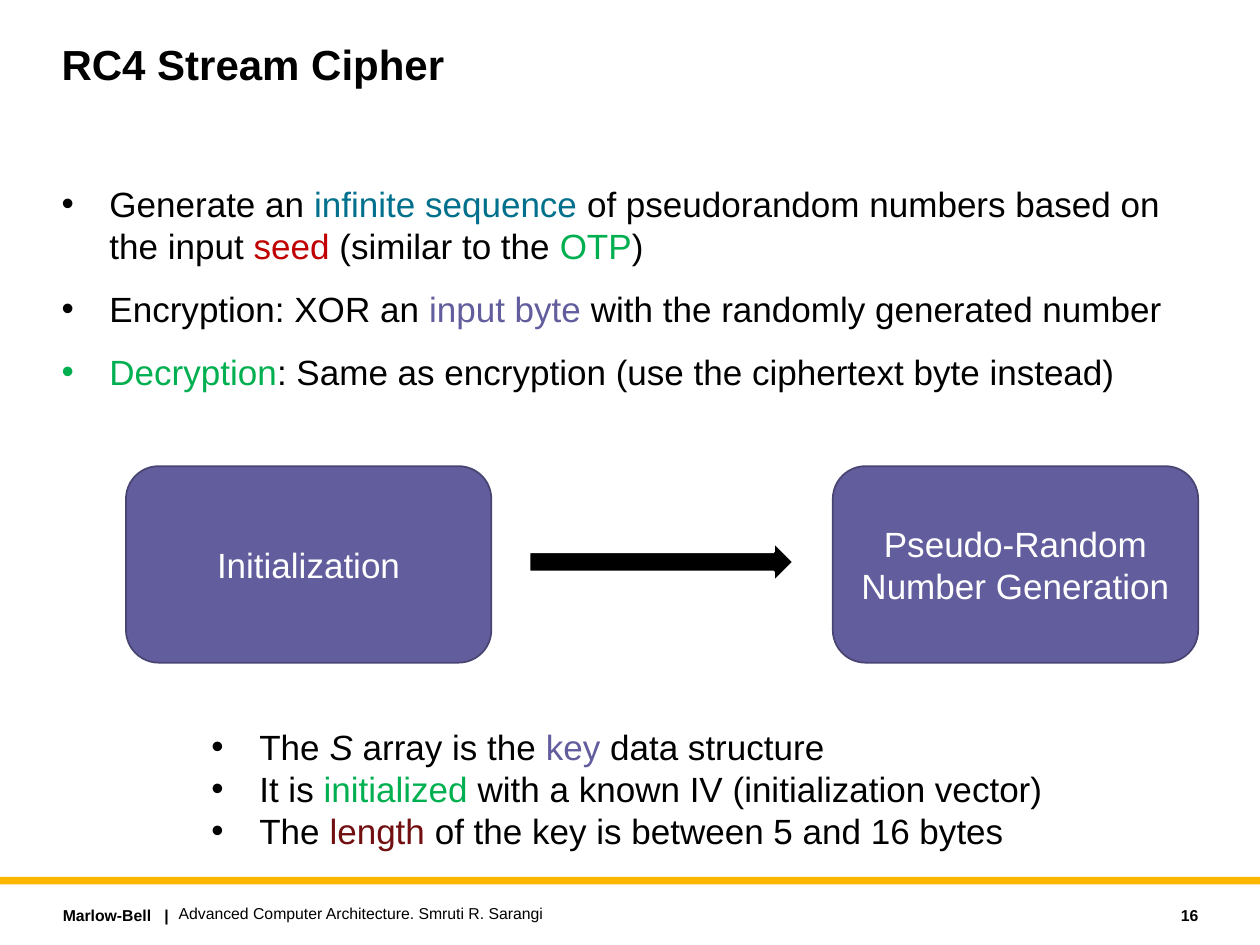
from lxml import etree
from pptx import Presentation
from pptx.dml.color import RGBColor
from pptx.enum.shapes import MSO_SHAPE
from pptx.enum.text import MSO_ANCHOR, PP_ALIGN
from pptx.oxml.ns import qn
from pptx.util import Inches, Pt

RECTANGLE = MSO_SHAPE.RECTANGLE
ROUNDED = MSO_SHAPE.ROUNDED_RECTANGLE
RIGHT_ARROW = MSO_SHAPE.RIGHT_ARROW
TOP, MIDDLE = MSO_ANCHOR.TOP, MSO_ANCHOR.MIDDLE
LEFT, CENTER, RIGHT = PP_ALIGN.LEFT, PP_ALIGN.CENTER, PP_ALIGN.RIGHT

BLACK = RGBColor(0x00, 0x00, 0x00)
WHITE = RGBColor(0xFF, 0xFF, 0xFF)
AMBER = RGBColor(0xFF, 0xB6, 0x00)
TEAL = RGBColor(0x01, 0x70, 0x8C)
RED = RGBColor(0xC0, 0x00, 0x00)
MAROON = RGBColor(0x72, 0x0F, 0x11)
GREEN = RGBColor(0x00, 0xB0, 0x50)
PURPLE = RGBColor(0x62, 0x5D, 0x9C)
DARK_PURPLE = RGBColor(0x49, 0x45, 0x73)


class SlideBuilder:
    font_name = "Arial"
    body_size = 20
    footer_size = 9
    bullet_indent = 0.38

    def __init__(self, slide):
        self.slide = slide

    def style(self, font, size, color, bold=False, italic=False):
        font.name = self.font_name
        font.size = Pt(size)
        font.color.rgb = color
        font.bold = bold
        font.italic = italic

    def frame(self, place, anchor):
        box = self.slide.shapes.add_textbox(*map(Inches, place))
        box.text_frame.word_wrap = True
        box.text_frame.vertical_anchor = anchor
        return box.text_frame

    def text(self, place, wording, size, bold=False, align=LEFT, anchor=MIDDLE):
        frame = self.frame(place, anchor)
        frame.text = wording
        paragraph = frame.paragraphs[0]
        paragraph.alignment = align
        self.style(paragraph.runs[0].font, size, BLACK, bold)
        return paragraph

    def bullets(self, place, items, gap=0):
        frame = self.frame(place, TOP)
        for index, pieces in enumerate(items):
            paragraph = frame.add_paragraph() if index else frame.paragraphs[0]
            paragraph.space_before = Pt(gap if index else 0)
            properties = paragraph._p.get_or_add_pPr()
            indent = Inches(self.bullet_indent)
            properties.set("marL", str(indent))
            properties.set("indent", str(-indent))
            etree.SubElement(properties, qn("a:buFont")).set("typeface", self.font_name)
            etree.SubElement(properties, qn("a:buChar")).set("char", "•")
            for wording, color, italic in pieces:
                run = paragraph.add_run()
                run.text = wording
                self.style(run.font, self.body_size, color, italic=italic)

    def shape(self, preset, place, fill, line=None, line_width=1):
        shape = self.slide.shapes.add_shape(preset, *map(Inches, place))
        shape.shadow.inherit = False
        shape.fill.solid()
        shape.fill.fore_color.rgb = fill
        if line is None:
            shape.line.fill.background()
        else:
            shape.line.color.rgb = line
            shape.line.width = Pt(line_width)
        return shape

    def stage(self, left, label):
        block = self.shape(ROUNDED, (left, 3.7, 2.9, 1.56), PURPLE, DARK_PURPLE)
        frame = block.text_frame
        frame.word_wrap = True
        frame.vertical_anchor = MIDDLE
        frame.text = label
        frame.paragraphs[0].alignment = CENTER
        self.style(frame.paragraphs[0].runs[0].font, self.body_size, WHITE)


def plain(wording):
    return wording, BLACK, False


def colored(wording, color):
    return wording, color, False


def main():
    deck = Presentation()
    deck.slide_width, deck.slide_height = Inches(10), Inches(7.5)
    builder = SlideBuilder(deck.slides.add_slide(deck.slide_layouts[6]))

    builder.shape(RECTANGLE, (0, 6.96, 10, 0.06), AMBER)
    builder.text((0.4, 7.14, 1.7, 0.25), "Marlow-Bell   |", builder.footer_size, bold=True)
    title = builder.text((0.39, 0.3, 7.5, 0.9), "RC4 Stream Cipher", 24, bold=True, anchor=TOP)
    title.line_spacing = 0.9

    cipher_points = [
        [plain("Generate an "), colored("infinite sequence", TEAL),
         plain(" of pseudorandom numbers based on the input "),
         colored("seed", RED), plain(" (similar to the "),
         colored("OTP", GREEN), plain(")")],
        [plain("Encryption: XOR an "), colored("input byte ", PURPLE),
         plain("with the randomly generated number")],
        [colored("Decryption", GREEN),
         plain(": Same as encryption (use the ciphertext byte instead)")],
    ]
    builder.bullets((0.39, 1.4, 9.22, 1.86), cipher_points, gap=12)

    builder.text((1.32, 7.12, 6, 0.25), "Advanced Computer Architecture. Smruti R. Sarangi",
                 builder.footer_size)
    builder.text((8.56, 7.14, 1.05, 0.25), "16", builder.footer_size, bold=True, align=RIGHT)

    builder.stage(1, "Initialization")
    builder.shape(RIGHT_ARROW, (4.2, 4.3, 2.1, 0.32), BLACK, WHITE, 1.5)
    builder.stage(6.61, "Pseudo-Random Number Generation")

    array_points = [
        [plain("The "), ("S ", BLACK, True), plain("array is the "),
         colored("key", PURPLE), plain(" data structure")],
        [plain("It is "), colored("initialized", GREEN),
         plain(" with a known IV (initialization vector)")],
        [plain("The "), colored("length", MAROON),
         plain(" of the key is between 5 and 16 bytes")],
    ]
    builder.bullets((1.58, 5.71, 6.85, 1.11), array_points)

    deck.save("out.pptx")


if __name__ == "__main__":
    main()
